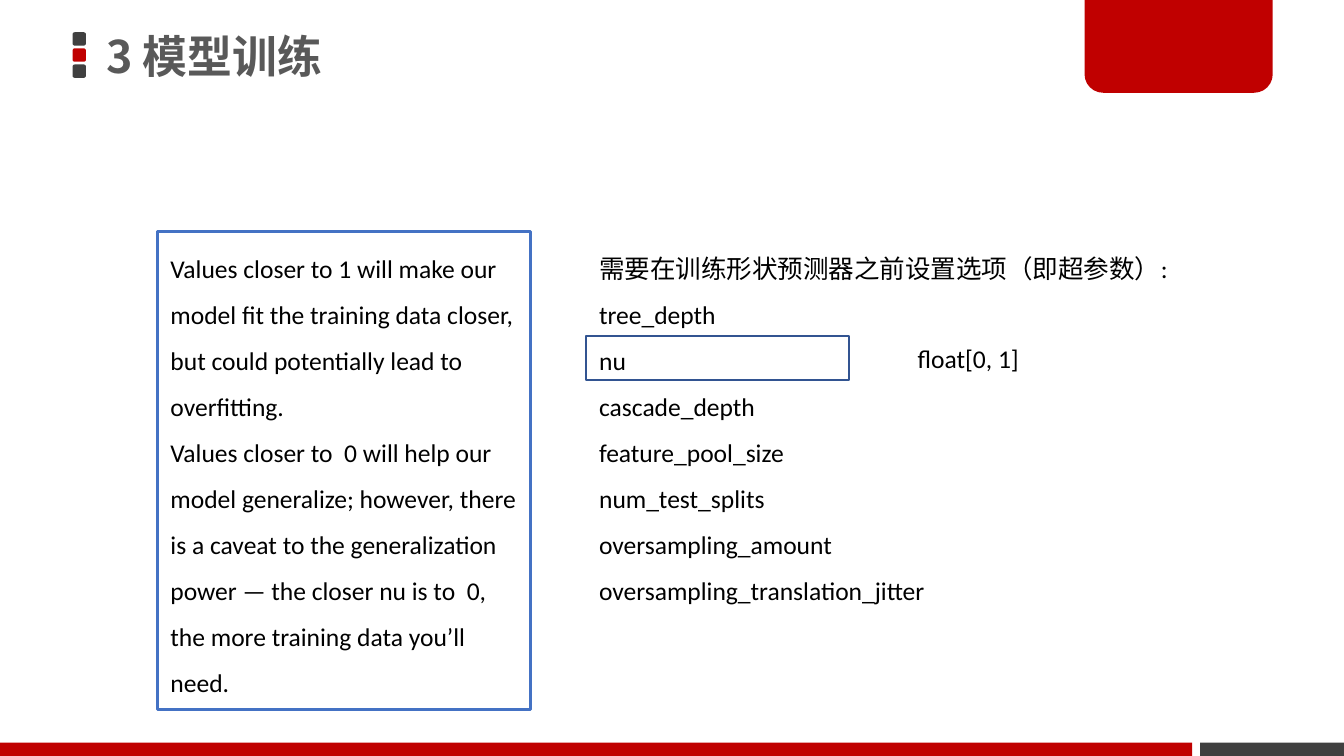
from lxml.etree import SubElement
from pptx import Presentation
from pptx.dml.color import RGBColor
from pptx.enum.shapes import MSO_SHAPE as Kind
from pptx.enum.text import MSO_ANCHOR as Anchor, MSO_AUTO_SIZE as Auto, PP_ALIGN as Align
from pptx.oxml.ns import qn
from pptx.util import Inches, Pt

RED = RGBColor(0xC0, 0, 0)
DARK = RGBColor(0x40, 0x40, 0x40)
GREY = RGBColor(0x59, 0x59, 0x59)
BLACK = RGBColor(0, 0, 0)
BLUE = RGBColor(0x44, 0x72, 0xC4)
NAVY = RGBColor(0x32, 0x54, 0x91)
CJK = "Noto Sans CJK SC"
BODY = {"size": Pt(13.7), "name": "Calibri", "color": BLACK, "bold": False}
HEAD = {"size": Pt(24), "name": CJK, "color": GREY, "bold": True}
WIDE = 10
HIGH = WIDE * 9 / 16

deck = Presentation()
deck.slide_width, deck.slide_height = Inches(WIDE), Inches(HIGH)
slide = deck.slides.add_slide(deck.slide_layouts[5])
shapes = slide.shapes


def draw(kind, box, fill=None, line=None, width=1):
    shape = shapes.add_shape(kind, *map(Inches, box))
    shape.shadow.inherit = False
    if fill is None:
        shape.fill.background()
    else:
        shape.fill.solid()
        shape.fill.fore_color.rgb = fill
    if line is None:
        shape.line.fill.background()
    else:
        shape.line.color.rgb = line
        shape.line.width = Pt(width)
    return shape


def write(shape, lines, style, space, anchor=Anchor.TOP):
    frame = shape.text_frame
    frame.word_wrap = True
    frame.auto_size = Auto.NONE
    frame.vertical_anchor = anchor
    for i, line in enumerate(lines):
        para = frame.paragraphs[0] if i == 0 else frame.add_paragraph()
        para.alignment = Align.LEFT
        para.line_spacing = space
        run = para.add_run()
        run.text = line
        for key, value in style.items():
            if key == "color":
                run.font.color.rgb = value
            else:
                setattr(run.font, key, value)
        SubElement(run.font._element, qn("a:ea"), typeface=CJK)


for row, color in enumerate((DARK, RED, DARK)):
    draw(Kind.ROUNDED_RECTANGLE, (0.54, 0.24 + 0.12 * row, 0.1, 0.1), color)
foot = HIGH - 0.1
draw(Kind.RECTANGLE, (8.93, foot, WIDE - 8.93, 0.1), DARK)
tab = draw(Kind.ROUND_2_SAME_RECTANGLE, (8.07, 0, 1.4, 0.69), RED)
tab.adjustments[0], tab.adjustments[1] = 0, 0.2
draw(Kind.RECTANGLE, (0, foot, 8.87, 0.1), RED)

title = shapes.title
title.left, title.top, title.width, title.height = map(Inches, (0.69, 0, 8.63, 0.87))
write(title, ["3 模型训练"], HEAD, 0.9, Anchor.MIDDLE)

top, row = 1.72, 2.5
names = shapes.add_textbox(*map(Inches, (4.36, top, 4.86, 2.87)))
write(names, [
    "需要在训练形状预测器之前设置选项（即超参数）:",
    "tree_depth",
    "nu",
    "cascade_depth",
    "feature_pool_size",
    "num_test_splits",
    "oversampling_amount",
    "oversampling_translation_jitter",
], BODY, 1.5)
draw(Kind.RECTANGLE, (4.36, row, 1.96, 0.33), line=NAVY)
span = shapes.add_textbox(*map(Inches, (6.73, row, 1.07, 0.33)))
write(span, ["float[0, 1]"], BODY, 1)
note = draw(Kind.RECTANGLE, (1.17, top, 2.78, 3.56), line=BLUE, width=1.5)
write(note, [
    "Values closer to 1 will make our model fit the training data closer, "
    "but could potentially lead to overfitting.",
    "Values closer to  0 will help our model generalize; however, there is a caveat "
    "to the generalization power — the closer nu is to  0, the more training data you’ll need.",
], BODY, 1.5)

deck.save("out.pptx")
